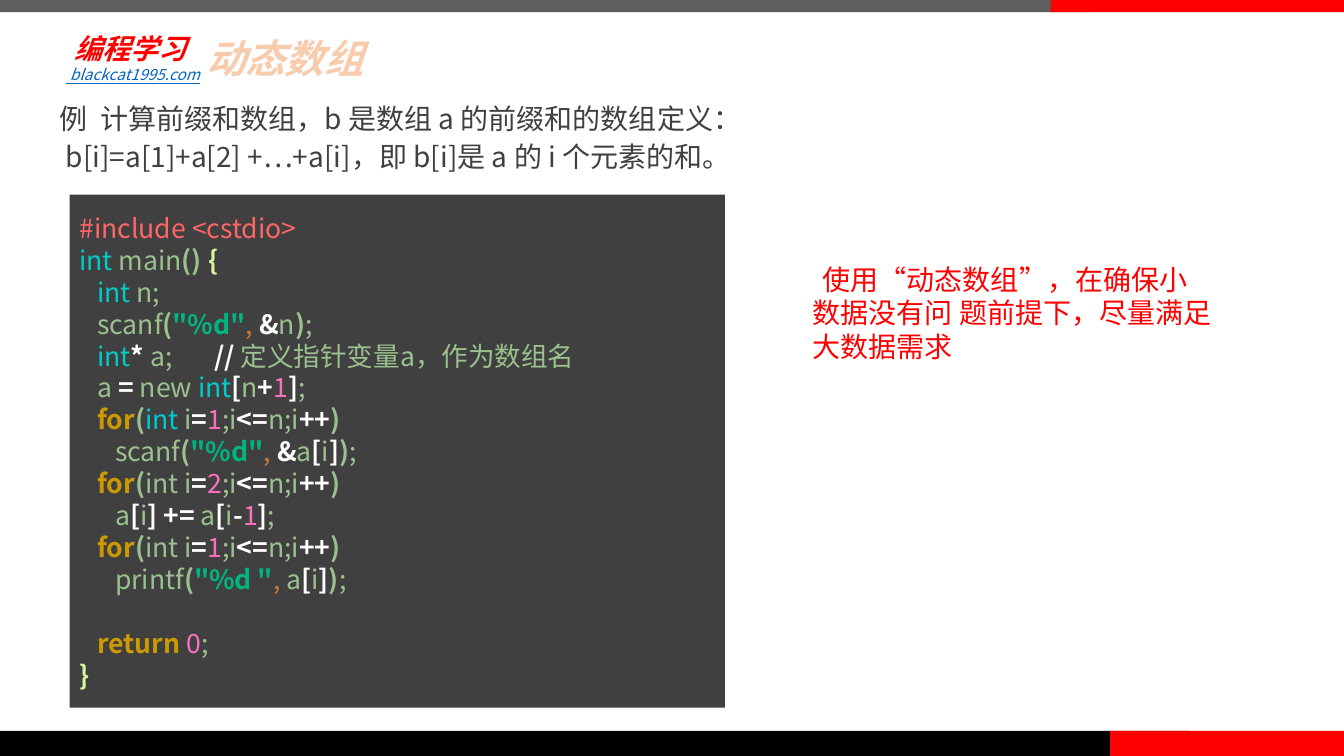
from lxml import etree
from pptx import Presentation
from pptx.dml.color import RGBColor
from pptx.enum.shapes import MSO_SHAPE
from pptx.enum.text import MSO_ANCHOR, PP_ALIGN
from pptx.oxml.ns import qn
from pptx.util import Inches, Pt

COLORS = {
    "gray": "5E5E5E", "black": "000000", "red": "FF0000", "dark": "404040",
    "link": "0563C1", "peach": "F8CBAD", "orange": "ED7D31",
}
CJK_FONT = "Noto Sans CJK SC"
LINE_HEIGHT = 1.2
CODE_SIZE = 19

# Colour and weight of each kind of code token
TOKENS = {
    "include": ("FF6666", False), "type": ("00CCCC", False),
    "plain": ("9BC28E", False), "paren": ("9BC28E", True),
    "brace": ("D8F69C", True), "string": ("00B580", True),
    "comma": ("CC7832", False), "op": ("FFFFFF", True),
    "number": ("F971BB", False), "keyword": ("CC9900", True),
}


def for_line(start, type_token="plain"):
    return [("plain", "   "), ("keyword", "for"), ("paren", "("),
            (type_token, "int "), ("plain", "i"), ("op", "="),
            ("number", start), ("plain", ";i"), ("op", "<="),
            ("plain", "n;i"), ("op", "++"), ("paren", ")")]


def call_start(name, pattern):
    return [("plain", name), ("paren", "("), ("string", pattern), ("comma", ", ")]


ITEM = [("plain", "a"), ("op", "["), ("plain", "i"), ("op", "]")]
CALL_END = [("paren", ")"), ("plain", ";")]

CODE = [
    [("include", "#include <cstdio>")],
    [("type", "int "), ("plain", "main"), ("paren", "() "), ("brace", "{")],
    [("plain", "   "), ("type", "int "), ("plain", "n;")],
    call_start("   scanf", '"%d"') + [("op", "&"), ("plain", "n")] + CALL_END,
    [("plain", "   "), ("type", "int"), ("op", "* "), ("plain", "a;       "),
     ("op", "// "), ("plain", "定义指针变量a，作为数组名")],
    [("plain", "   a "), ("op", "= "), ("plain", "new "), ("type", "int"),
     ("op", "["), ("plain", "n"), ("op", "+"), ("number", "1"), ("op", "]"),
     ("plain", ";")],
    for_line("1", "type"),
    call_start("      scanf", '"%d"') + [("op", "&")] + ITEM + CALL_END,
    for_line("2"),
    [("plain", "      ")] + ITEM
    + [("op", " += "), ("plain", "a"), ("op", "["), ("plain", "i"), ("op", "-"),
       ("number", "1"), ("op", "]"), ("plain", ";")],
    for_line("1"),
    call_start("      printf", '"%d "') + ITEM + CALL_END,
    [("plain", "      ")],
    [("plain", "   "), ("keyword", "return "), ("number", "0"), ("plain", ";")],
    [("brace", "}")],
]


def apply(target, values):
    for name, value in values.items():
        setattr(target, name, value)


def add_run(paragraph, text, color, size, font=CJK_FONT, **style):
    run = paragraph.add_run()
    run.text = text
    run.font.color.rgb = RGBColor.from_string(color)
    apply(run.font, {"name": font, "size": Pt(size), **style})
    east_asian = etree.SubElement(run.font._element, qn("a:ea"))
    east_asian.set("typeface", CJK_FONT)
    return run


def format_paragraph(paragraph, size, indent=0, line_height=LINE_HEIGHT):
    apply(paragraph, {"alignment": PP_ALIGN.LEFT,
                      "line_spacing": Pt(size * line_height)})
    if indent:
        properties = paragraph._p.get_or_add_pPr()
        properties.set("marL", "0")
        properties.set("indent", str(Inches(indent)))


def set_frame(frame, anchor=MSO_ANCHOR.TOP, wrap=True, side=0.1, edge=0.05):
    apply(frame, {"word_wrap": wrap, "vertical_anchor": anchor,
                  "margin_left": Inches(side), "margin_right": Inches(side),
                  "margin_top": Inches(edge), "margin_bottom": Inches(edge)})


def add_text(slide, box, lines, color, size, indent=0, frame_format=None, **style):
    frame = slide.shapes.add_textbox(*map(Inches, box)).text_frame
    set_frame(frame, **(frame_format or {}))
    for number, line in enumerate(lines):
        paragraph = frame.add_paragraph() if number else frame.paragraphs[0]
        format_paragraph(paragraph, size, indent)
        if number:
            paragraph.space_before = Pt(size * 0.15)
        add_run(paragraph, line, COLORS[color], size, **style)


def add_rectangle(slide, box, color):
    rectangle = slide.shapes.add_shape(MSO_SHAPE.RECTANGLE, *map(Inches, box))
    rectangle.shadow.inherit = False
    rectangle.fill.solid()
    rectangle.fill.fore_color.rgb = RGBColor.from_string(COLORS[color])
    rectangle.line.fill.background()
    return rectangle


def set_title(slide, text):
    title = slide.shapes.title
    left, top, width, height = map(Inches, (1.85, 0.31, 1.87, 0.53))
    apply(title, {"left": left, "top": top, "width": width, "height": height})
    set_frame(title.text_frame, wrap=False)
    paragraph = title.text_frame.paragraphs[0]
    format_paragraph(paragraph, 28, indent=0.1, line_height=1.14)
    run = add_run(paragraph, text, COLORS["peach"], 28, bold=True, italic=True)
    outline = etree.Element(qn("a:ln"), w=str(Pt(1.75)))
    fill = etree.SubElement(outline, qn("a:solidFill"))
    etree.SubElement(fill, qn("a:srgbClr"), val=COLORS["orange"])
    run.font._element.insert(0, outline)


def add_code(slide, box):
    frame = add_rectangle(slide, box, "dark").text_frame
    set_frame(frame, anchor=MSO_ANCHOR.MIDDLE)
    paragraph = frame.paragraphs[0]
    format_paragraph(paragraph, CODE_SIZE)
    for number, line in enumerate(CODE):
        if number:
            paragraph.add_line_break()
        for token, text in line:
            color, bold = TOKENS[token]
            add_run(paragraph, text, color, CODE_SIZE, bold=bold)


def main():
    deck = Presentation()
    apply(deck, {"slide_width": Inches(13.33), "slide_height": Inches(7.5)})
    slide = deck.slides.add_slide(deck.slide_layouts[5])

    add_text(slide, (0.68, 0.25, 1.28, 0.45), ["编程学习"], "red", 20,
             frame_format={"anchor": MSO_ANCHOR.MIDDLE, "side": 0.06, "edge": 0.06},
             font="Calibri", bold=True, italic=True)
    add_text(slide, (0.56, 0.6, 6.67, 0.29), [" blackcat1995.com"], "link", 11,
             italic=True, underline=True)
    set_title(slide, "动态数组")

    body = {"side": 0.13, "edge": 0.07}
    add_text(slide, (0.36, 0.94, 12.6, 0.91),
             ["例  计算前缀和数组，b 是数组 a 的前缀和的数组定义：",
              " b[i]=a[1]+a[2] +…+a[i]，即 b[i]是 a 的 i 个元素的和。"],
             "dark", 20, indent=0.1, frame_format=body)

    for box, color in [((0, 0, 10.81, 0.12), "gray"),
                       ((0, 7.25, 11.8, 0.25), "black"),
                       ((11.01, 7.25, 2.32, 0.25), "red"),
                       ((10.42, 0, 2.91, 0.12), "red")]:
        add_rectangle(slide, box, color)

    add_code(slide, (0.69, 1.93, 6.5, 5.09))
    add_text(slide, (7.93, 2.53, 4.24, 0.91),
             ["使用“动态数组”，在确保小数据没有问 题前提下，尽量满足大数据需求"],
             "red", 20, indent=0.1, frame_format=body)
    deck.save("out.pptx")


if __name__ == "__main__":
    main()
